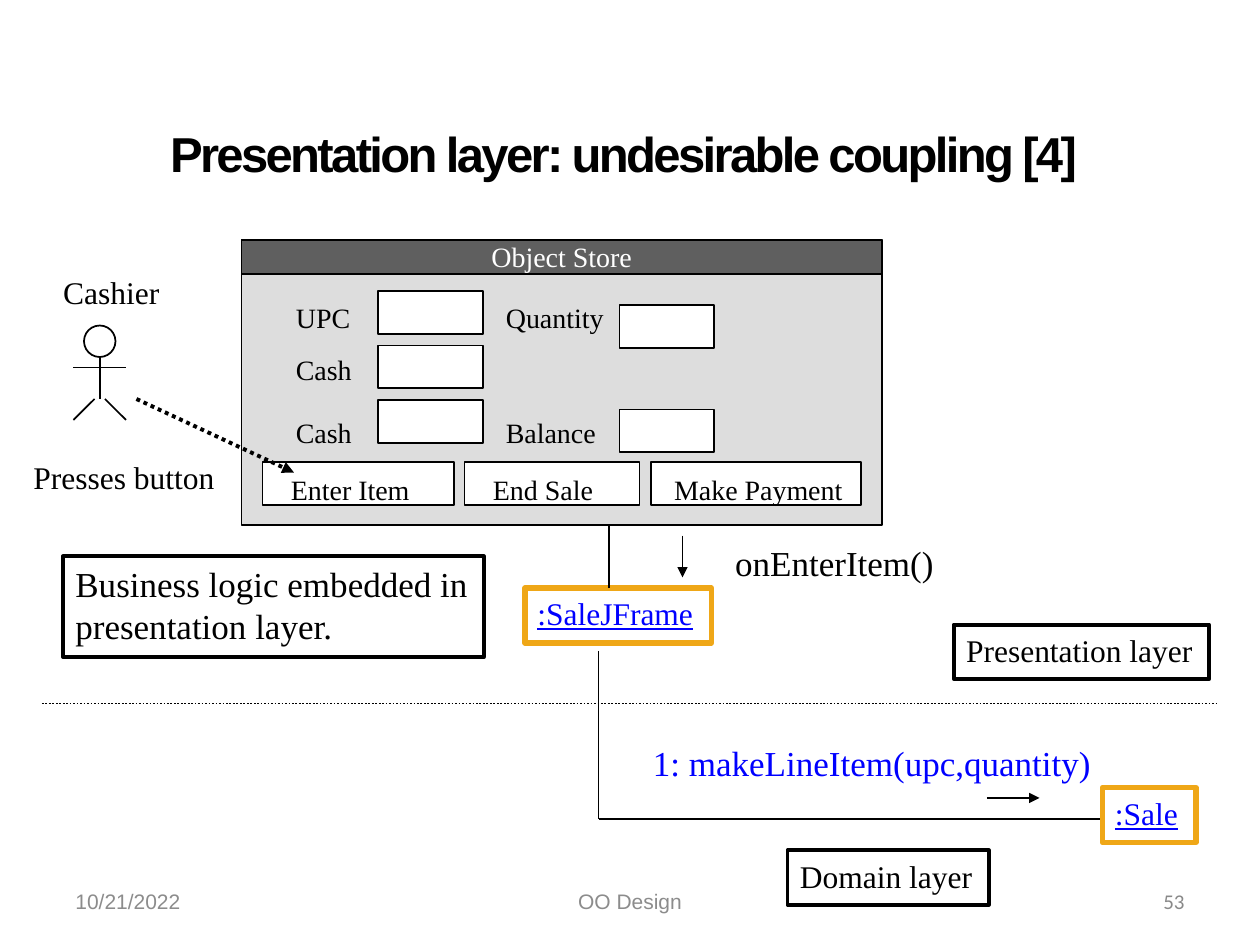
from lxml import etree
from pptx import Presentation
from pptx.dml.color import RGBColor
from pptx.enum.dml import MSO_LINE
from pptx.enum.shapes import MSO_CONNECTOR, MSO_SHAPE
from pptx.enum.text import MSO_ANCHOR, PP_ALIGN
from pptx.oxml.ns import qn
from pptx.util import Pt

LEFT, CENTER, RIGHT = PP_ALIGN.LEFT, PP_ALIGN.CENTER, PP_ALIGN.RIGHT
TOP, MIDDLE = MSO_ANCHOR.TOP, MSO_ANCHOR.MIDDLE
RECT, OVAL = MSO_SHAPE.RECTANGLE, MSO_SHAPE.OVAL
STRAIGHT = MSO_CONNECTOR.STRAIGHT
DOTTED = MSO_LINE.ROUND_DOT
SERIF, SANS = "Times New Roman", "Arial"
BLACK, WHITE, BLUE, ORANGE = "000000", "FFFFFF", "0000FF", "EFA717"


def color(hex_string):
    return RGBColor.from_string(hex_string)


def write(shape, text, size=16, font=SERIF, ink=BLACK, bold=False, underline=False,
          align=LEFT, anchor=TOP, wrap=False, inset=(7.2, 3.6), spacing=None):
    frame = shape.text_frame
    frame.word_wrap = wrap
    frame.vertical_anchor = anchor
    frame.margin_left, frame.margin_top = Pt(inset[0]), Pt(inset[1])
    for index, line_text in enumerate(text.split("\n")):
        paragraph = frame.add_paragraph() if index else frame.paragraphs[0]
        paragraph.alignment = align
        run = paragraph.add_run()
        run.text = line_text
        run.font.size = Pt(size)
        run.font.name = font
        run.font.bold = bold
        run.font.underline = underline
        run.font.color.rgb = color(ink)
        if spacing is not None:
            run._r.get_or_add_rPr().set("spc", str(int(spacing * 100)))


def label(slide, x, y, width, height, text, **style):
    write(slide.shapes.add_textbox(Pt(x), Pt(y), Pt(width), Pt(height)), text, **style)


def block(slide, x, y, width, height, fill=None, outline=BLACK, weight=1,
          kind=RECT, text=None, **style):
    shape = slide.shapes.add_shape(kind, Pt(x), Pt(y), Pt(width), Pt(height))
    shape.shadow.inherit = False
    if fill:
        shape.fill.solid()
        shape.fill.fore_color.rgb = color(fill)
    else:
        shape.fill.background()
    shape.line.color.rgb = color(outline)
    shape.line.width = Pt(weight)
    if text:
        write(shape, text, **style)


def line(slide, x1, y1, x2, y2, weight=1, dash=None, arrow=False):
    connector = slide.shapes.add_connector(STRAIGHT, Pt(x1), Pt(y1), Pt(x2), Pt(y2))
    connector.line.color.rgb = color(BLACK)
    connector.line.width = Pt(weight)
    if dash:
        connector.line.dash_style = dash
    properties = connector._element.spPr
    if arrow:
        etree.SubElement(properties.find(qn("a:ln")), qn("a:tailEnd"), type="triangle")
    etree.SubElement(properties, qn("a:effectLst"))


def add_title(slide, x, y, width, height):
    title = slide.shapes.title
    title.left, title.top, title.width, title.height = Pt(x), Pt(y), Pt(width), Pt(height)
    write(title, "Presentation layer: undesirable coupling [4]", size=28, font=SANS,
          bold=True, anchor=MIDDLE, wrap=True, spacing=-1.5)


def add_footer(slide, x, y, width, height):
    side, middle = 168, 228
    parts = [
        (0, side, "10/21/2022", LEFT, SANS, "8C8C8C"),
        ((width - middle) / 2, middle, "OO Design", CENTER, SANS, "8C8C8C"),
        (width - side, side, "53", RIGHT, "Calibri", "898989"),
    ]
    for dx, part_width, text, align, font, ink in parts:
        label(slide, x + dx, y, part_width, height, text, size=12, font=font,
              ink=ink, align=align, anchor=MIDDLE, wrap=True)


def add_store_window(slide, x, y, width, height):
    block(slide, x, y, width, height, fill="DDDDDD")
    block(slide, x, y, width, 19.5, fill="5F5F5F", text="Object Store", ink=WHITE,
          align=CENTER, anchor=MIDDLE)
    field_columns = [(78, 60, (29.5, 60.5, 91.5)), (216, 54, (37.5, 97))]
    for dx, field_width, tops in field_columns:
        for dy in tops:
            block(slide, x + dx, y + dy, field_width, 24.5, fill=WHITE)
    captions = [
        (24, 31, 45.5, "UPC"), (24, 61, 47, "Cash"), (24, 97, 47, "Cash"),
        (144, 31, 70.5, "Quantity"), (144, 97, 66, "Balance"),
    ]
    for dx, dy, caption_width, text in captions:
        label(slide, x + dx, y + dy, caption_width, 26.5, text)
    buttons = [
        (12, 109.5, "Enter Item", 16.2),
        (127.5, 100, "End Sale", 16.2),
        (234, 120, "Make Payment", 13.2),
    ]
    for dx, button_width, text, indent in buttons:
        block(slide, x + dx, y + 127, button_width, 24.5, fill=WHITE, text=text,
              wrap=True, inset=(indent, 6))


def add_cashier(slide, x, y, width):
    middle = x + width / 2
    label(slide, x - 13, y - 33.5, 70, 29, "Cashier", size=18)
    block(slide, middle - 9, y, 18, 18, fill=WHITE, kind=OVAL)
    line(slide, middle, y + 18, middle, y + 42)
    line(slide, x, y + 24, x + width, y + 24)
    for side in (-1, 1):
        line(slide, middle + side * 3, y + 42, middle + side * width / 2, y + 54)


def add_button_press(slide, x, y):
    line(slide, x + 66, y, x + 156, y + 42, weight=2.25, dash=DOTTED, arrow=True)
    label(slide, x, y + 30, 118, 29, "Presses button", size=18)


def add_frame_call(slide, x, y):
    block(slide, x, y + 36, 106.5, 31.5, outline=ORANGE, weight=3, text=":SaleJFrame",
          size=18, ink=BLUE, underline=True)
    line(slide, x + 48, y, x + 48, y + 36)
    line(slide, x + 90, y + 6, x + 90, y + 30, arrow=True)
    label(slide, x + 113, y + 6, 151, 31, "onEnterItem()", size=20, wrap=True)


def add_domain_call(slide, x, y, width, height):
    line(slide, x, y, x, y + height)
    line(slide, x, y + height, x + width, y + height)
    block(slide, x + width, y + height - 18, 53.5, 31.5, outline=ORANGE, weight=3,
          text=":Sale", size=18, ink=BLUE, underline=True)
    label(slide, x + 24, y + height - 48, 288, 31, "1: makeLineItem(upc,quantity)",
          size=20, ink=BLUE, wrap=True)
    line(slide, x + 222, y + height - 12, x + 252, y + height - 12, arrow=True)


def add_layers(slide, x, y, width):
    line(slide, x, y, x + width, y, dash=DOTTED)
    notes = [
        (521, -45, 146, 31, "Presentation layer", 18),
        (426, 84, 115, 31, "Domain layer", 18),
        (12, -84, 240.5, 57.5, "Business logic embedded in\npresentation layer.", 20),
    ]
    for dx, dy, note_width, note_height, text, size in notes:
        block(slide, x + dx, y + dy, note_width, note_height, weight=2.25,
              text=text, size=size)


def main():
    deck = Presentation()
    deck.slide_width, deck.slide_height = Pt(720), Pt(540)
    slide = deck.slides.add_slide(deck.slide_layouts[5])
    add_footer(slide, 36, 500.5, 648, 29)
    add_title(slide, 90, 66, 613.5, 42.5)
    add_store_window(slide, 138, 137, 366, 163)
    add_frame_call(slide, 300, 300)
    add_domain_call(slide, 342, 372, 288, 96)
    add_button_press(slide, 12, 228)
    add_cashier(slide, 42, 186, 30)
    add_layers(slide, 24, 402, 672)
    deck.save("out.pptx")


if __name__ == "__main__":
    main()
